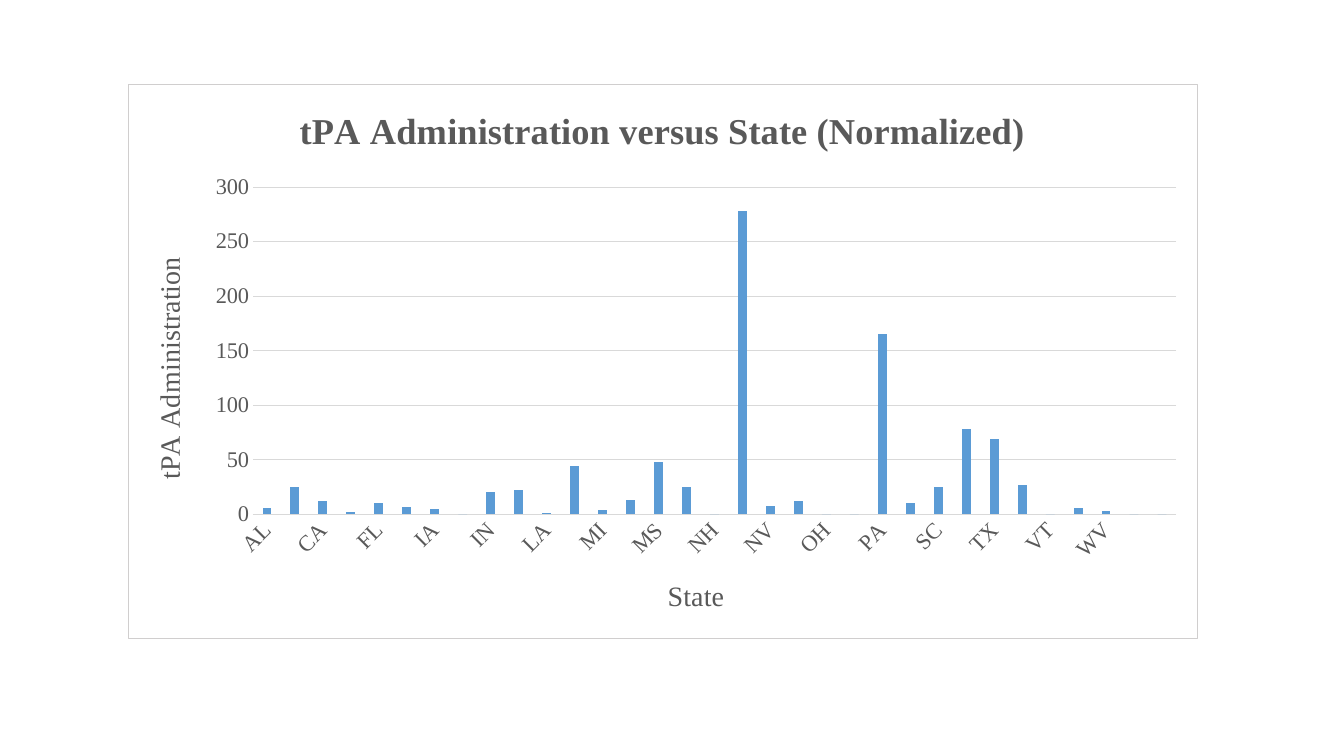
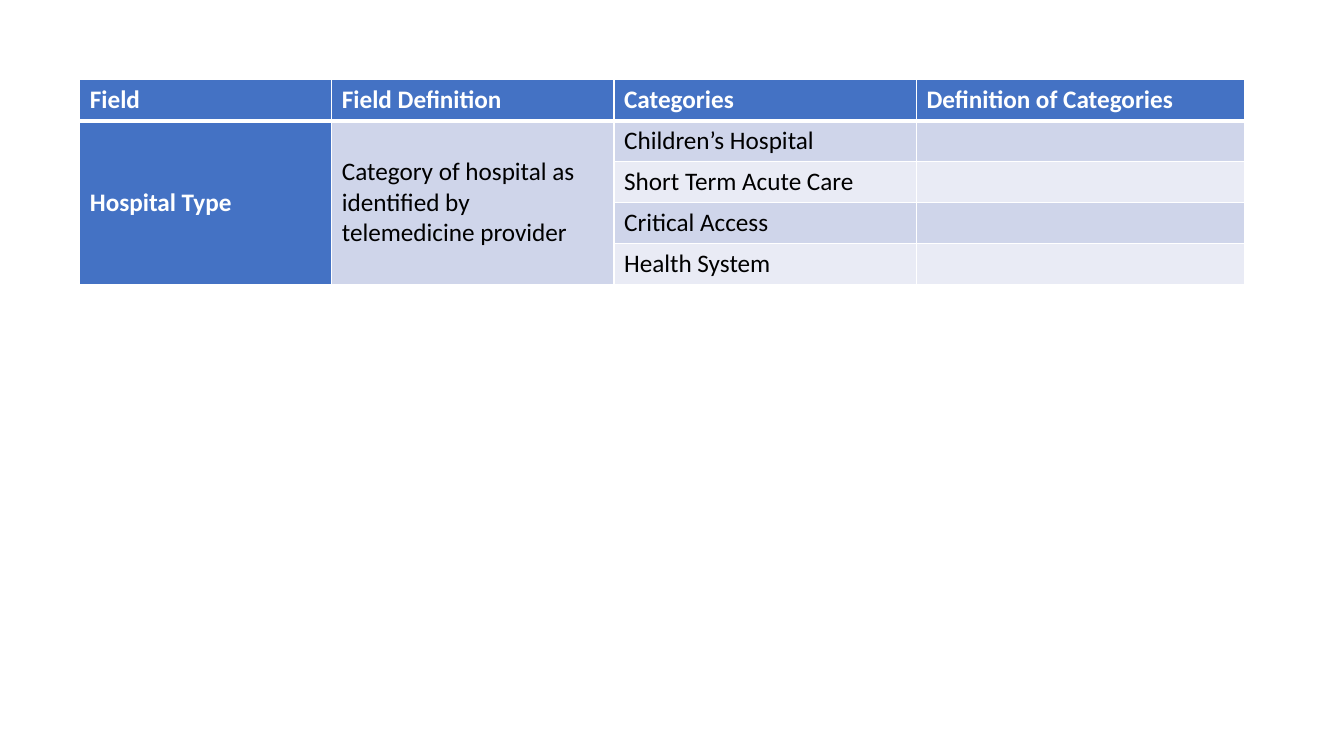
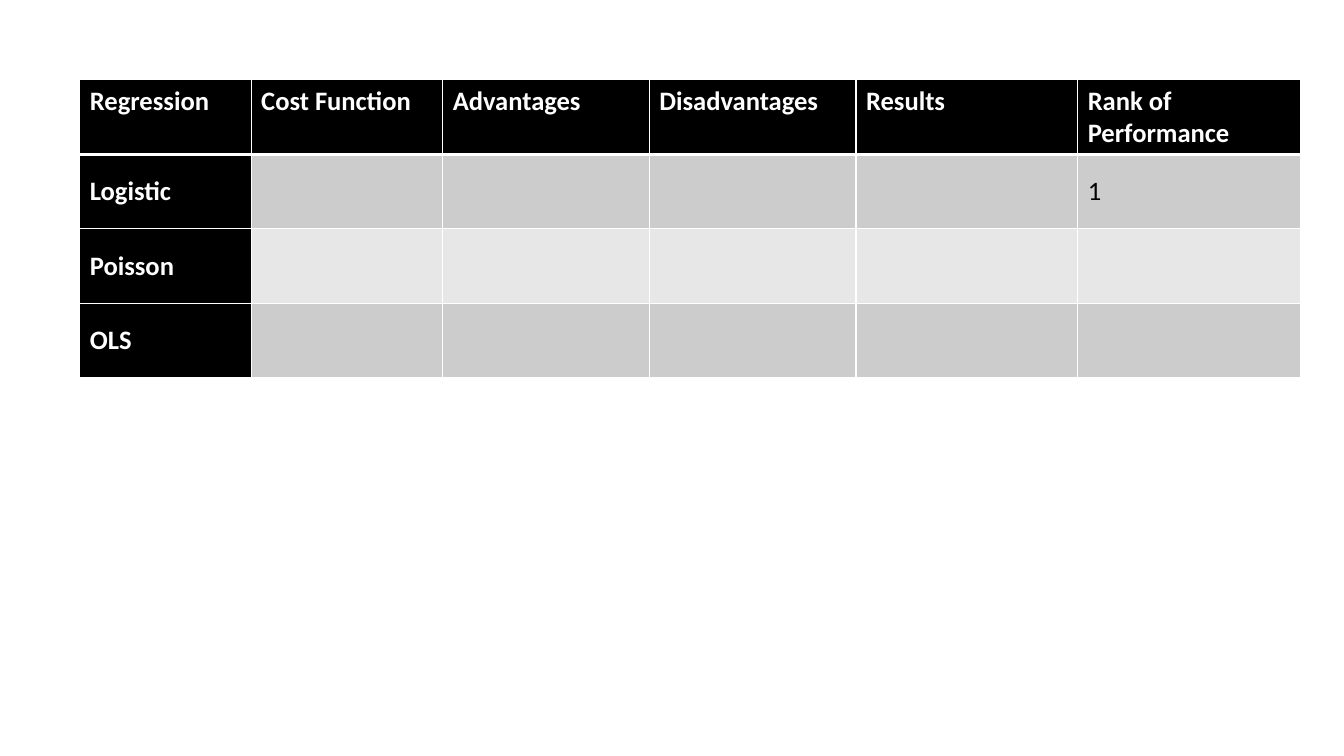
from lxml.etree import SubElement
from pptx import Presentation
from pptx.chart.data import CategoryChartData as ChartData
from pptx.dml.color import RGBColor as RGB
from pptx.enum.chart import XL_CHART_TYPE as CHART, XL_TICK_MARK as TICK
from pptx.enum.text import MSO_ANCHOR as ANCHOR
from pptx.oxml import parse_xml
from pptx.oxml.ns import nsdecls, qn
from pptx.util import Pt

WHITE = RGB(0xFF, 0xFF, 0xFF)
BLACK = RGB(0x00, 0x00, 0x00)
GRAY = RGB(0x59, 0x59, 0x59)
GRID = RGB(0xD9, 0xD9, 0xD9)
FRAME = RGB(0xD0, 0xCE, 0xCE)
BAR = RGB(0x5B, 0x9B, 0xD5)
BLUE = RGB(0x44, 0x72, 0xC4)
BLUE_BANDS = RGB(0xCF, 0xD5, 0xEA), RGB(0xE9, 0xEB, 0xF5)
GRAY_BANDS = RGB(0xCC, 0xCC, 0xCC), RGB(0xE7, 0xE7, 0xE7)


class Deck:
    body = "Calibri"
    serif = "Times New Roman"
    left = top = 57

    def __init__(self):
        self.prs = Presentation()
        self.prs.slide_width, self.prs.slide_height = Pt(960), Pt(540)

    def slide(self):
        self.s = self.prs.slides.add_slide(self.prs.slide_layouts[6])

    def font(self, font, name, size, color, bold=False):
        font.name, font.size, font.bold = name, Pt(size), bold
        font.color.rgb = color

    def chart_title(self, owner, text, size, bold=False):
        tf = owner.text_frame
        tf.text = text
        self.font(tf.paragraphs[0].font, self.serif, size, GRAY, bold)

    def axis(self, axis, title):
        self.chart_title(axis.axis_title, title, 20)
        axis.major_tick_mark = axis.minor_tick_mark = TICK.NONE
        self.font(axis.tick_labels.font, self.serif, 16, GRAY)

    def column_chart(self, box, title, cat_title, val_title, cats, vals):
        data = ChartData()
        data.categories = cats
        data.add_series("Series 1", vals)
        chart = self.s.shapes.add_chart(
            CHART.COLUMN_CLUSTERED, *map(Pt, box), data).chart
        self.font(chart.font, self.body, 10, BLACK)
        chart.has_legend = False
        self.chart_title(chart.chart_title, title, 26, True)
        chart.chart_title.include_in_layout = False

        plot = chart.plots[0]
        plot.gap_width, plot.overlap = 219, -27
        plot.vary_by_categories = False
        fill = plot.series[0].format.fill
        fill.solid()
        fill.fore_color.rgb = BAR

        cat, val = chart.category_axis, chart.value_axis
        self.axis(cat, cat_title)
        self.axis(val, val_title)
        val.minimum_scale, val.maximum_scale, val.major_unit = 0, 300, 50
        val.format.line.fill.background()
        for line in cat.format.line, val.major_gridlines.format.line:
            line.color.rgb, line.width = GRID, Pt(0.75)
        cat._element.find(qn("c:txPr")).find(qn("a:bodyPr")).set("rot", "-2700000")
        body = val.axis_title.text_frame._txBody.find(qn("a:bodyPr"))
        body.set("rot", "-5400000")
        body.set("vert", "horz")
        chart._chartSpace.find(qn("c:chart")).addnext(parse_xml(
            f'<c:spPr {nsdecls("c", "a")}><a:solidFill><a:srgbClr val="{WHITE}"/>'
            f'</a:solidFill><a:ln w="{Pt(0.25)}"><a:solidFill>'
            f'<a:srgbClr val="{FRAME}"/></a:solidFill></a:ln></c:spPr>'))

    def border(self, cell, row):
        tcPr = cell._tc.get_or_add_tcPr()
        for edge in "LRTB":
            if row == 1 and edge == "T":
                continue
            width = 3 if row == 0 and edge == "B" else 1
            ln = SubElement(tcPr, qn(f"a:ln{edge}"), w=str(Pt(width)))
            fill = SubElement(ln, qn("a:solidFill"))
            SubElement(fill, qn("a:srgbClr"), val=str(WHITE))

    def cell(self, cell, text, row, fill, size, strong):
        self.border(cell, row)
        cell.fill.solid()
        cell.fill.fore_color.rgb = fill
        if row:
            cell.vertical_anchor = ANCHOR.MIDDLE
        if text:
            cell.text = text
            self.font(cell.text_frame.paragraphs[0].font, self.body, size,
                      WHITE if strong else BLACK, strong)

    def table(self, widths, heights, rows, size, head, bands, merged=()):
        table = self.s.shapes.add_table(
            len(heights), len(widths), Pt(self.left), Pt(self.top),
            Pt(sum(widths)), Pt(sum(heights))).table
        table.horz_banding = False
        for col, width in zip(table.columns, widths):
            col.width = Pt(width)
        for row, height in zip(table.rows, heights):
            row.height = Pt(height)
        for i, texts in enumerate(rows):
            for j, text in enumerate(texts):
                strong = i == 0 or j == 0
                band = bands[0 if j in merged else (i - 1) % 2]
                self.cell(table.cell(i, j), text, i, head if strong else band,
                          size, strong)
        for j in merged:
            table.cell(1, j).merge(table.cell(len(rows) - 1, j))


deck = Deck()

deck.slide()
states = ("AL AZ CA CO FL GA IA IL IN KY LA MA MI MO MS NC NH NJ NV NY OH OK "
          "PA RI SC TN TX VA VT WI WV").split()
counts = [6, 25, 12, 2, 10, 7, 5, 0, 20, 22, 1, 44, 4, 13, 48, 25, 0, 278, 8,
          12, 0, 0, 165, 10, 25, 78, 69, 27, 0, 6, 3, 0, 0]
deck.column_chart((91.5, 60, 764, 396),
                  "tPA Administration versus State (Normalized)",
                  "State", "tPA Administration", states + ["", ""], counts)

deck.slide()
deck.table(
    [180, 201.6, 216, 234.7], [29.2] * 5,
    [["Field", "Field Definition", "Categories", "Definition of Categories"],
     ["Hospital Type",
      "Category of hospital as identified by telemedicine provider",
      "Children’s Hospital", ""],
     ["", "", "Short Term Acute Care", ""],
     ["", "", "Critical Access", ""],
     ["", "", "Health System", ""]],
    18, BLUE, BLUE_BANDS, merged=(0, 1))

deck.slide()
deck.table(
    [122.4, 136.8, 147.6, 147.6, 158.4, 159.1], [46, 53.2, 53.2, 53.2],
    [["Regression", "Cost Function", "Advantages", "Disadvantages", "Results",
      "Rank of Performance"],
     ["Logistic", "", "", "", "", "1"],
     ["Poisson"] + [""] * 5,
     ["OLS"] + [""] * 5],
    19, BLACK, GRAY_BANDS)

deck.prs.save("out.pptx")
